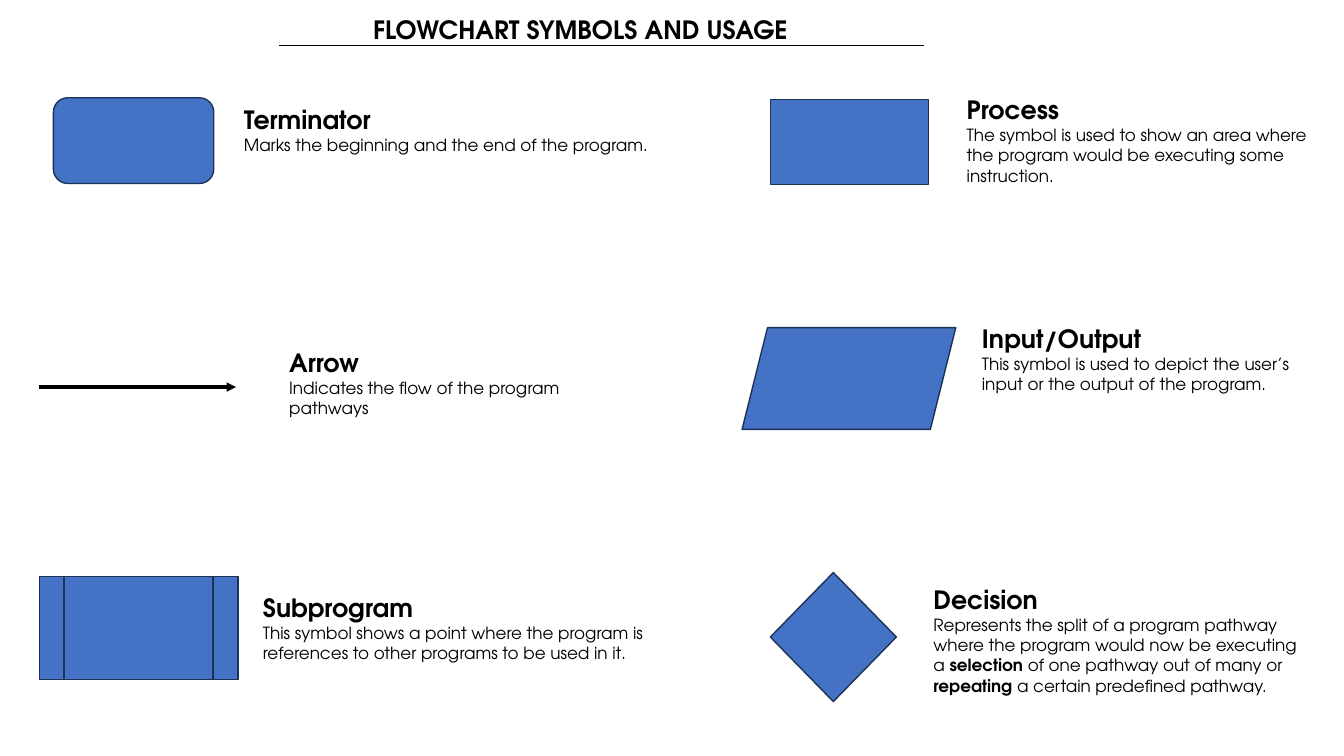
"""Build a slide of flowchart symbols and their usage."""
import dataclasses

import lxml.etree
import pptx
import pptx.dml.color
import pptx.enum.shapes
import pptx.enum.text
import pptx.oxml.ns
import pptx.util

SCALE = 9144
FONT = "TeX Gyre Adventor"
COLORS = {"fill": "4472C4", "edge": "1E3256", "ink": "000000", "page": "FFFFFF"}
KIND = pptx.enum.shapes.MSO_SHAPE
FIT = pptx.enum.text.MSO_AUTO_SIZE.SHAPE_TO_FIT_TEXT


@dataclasses.dataclass
class Box:
    x: int
    y: int
    w: int
    h: int


@dataclasses.dataclass
class Symbol:
    kind: KIND
    box: Box


@dataclasses.dataclass
class Rule:
    start: int
    end: int
    y: int
    weight: float
    arrow: bool = False


@dataclasses.dataclass
class Label:
    name: str
    usage: tuple[str, ...]
    box: Box


SYMBOLS = [
    Symbol(KIND.ROUNDED_RECTANGLE, Box(53, 97, 159, 85)),
    Symbol(KIND.RECTANGLE, Box(764, 99, 157, 84)),
    Symbol(KIND.DIAMOND, Box(764, 568, 125, 128)),
    Symbol(KIND.FLOWCHART_PREDEFINED_PROCESS, Box(39, 572, 197, 102)),
    Symbol(KIND.PARALLELOGRAM, Box(736, 325, 212, 101)),
]

RULES = [Rule(39, 234, 384, 2.25, True), Rule(277, 916, 45, 0.5)]

LABELS = [
    Label("Terminator", ("Marks the beginning and the end of the program.",),
          Box(232, 99, 435, 61)),
    Label("Process", ("The symbol is used to show an area where the program "
                      "would be executing some instruction.",),
          Box(949, 89, 363, 101)),
    Label("Arrow", ("Indicates the flow of the program pathways",),
          Box(277, 340, 356, 81)),
    Label("Input/Output", ("This symbol is used to depict the user’s input "
                           "or the output of the program.",),
          Box(964, 316, 348, 81)),
    Label("Subprogram", ("This symbol shows a point where the program is "
                         "references to other programs to be used in it.",),
          Box(251, 583, 435, 81)),
    Label("Decision", ("Represents the split of a program pathway where the "
                       "program would now be executing a ", "selection",
                       " of one pathway out of many or ", "repeating ",
                       "a certain predefined pathway."),
          Box(916, 575, 396, 151)),
]


def px(count: int) -> pptx.util.Emu:
    """Turn px into EMU."""
    return pptx.util.Emu(count * SCALE)


def rgb(name: str) -> pptx.dml.color.RGBColor:
    """Look up a colour by its name."""
    return pptx.dml.color.RGBColor.from_string(COLORS[name])


def style(run, size: int, bold: bool) -> None:
    """Set the font of one run."""
    run.font.name = FONT
    run.font.size = pptx.util.Pt(size)
    run.font.bold = bold
    run.font.color.rgb = rgb("ink")


def place(shape, box: Box) -> None:
    """Move and size a shape."""
    shape.left, shape.top = px(box.x), px(box.y)
    shape.width, shape.height = px(box.w), px(box.h)


def draw_title(slide, text: str, box: Box) -> None:
    """Fill and format the title placeholder."""
    title = slide.shapes.title
    place(title, box)
    frame = title.text_frame
    frame.text = text
    frame.word_wrap = True
    frame.auto_size = FIT
    frame.vertical_anchor = pptx.enum.text.MSO_ANCHOR.TOP
    frame.paragraphs[0].alignment = pptx.enum.text.PP_ALIGN.LEFT
    style(frame.paragraphs[0].runs[0], 18, True)


def draw_symbol(slide, item: Symbol) -> None:
    """Draw one flowchart symbol."""
    box = item.box
    shape = slide.shapes.add_shape(item.kind, px(box.x), px(box.y), px(box.w), px(box.h))
    shape.shadow.inherit = False
    shape.fill.solid()
    shape.fill.fore_color.rgb = rgb("fill")
    shape.line.color.rgb = rgb("edge")
    shape.line.width = pptx.util.Pt(1)


def draw_rule(slide, item: Rule) -> None:
    """Draw one level line, with an arrowhead if asked for."""
    line = slide.shapes.add_connector(
        pptx.enum.shapes.MSO_CONNECTOR.STRAIGHT,
        px(item.start), px(item.y), px(item.end), px(item.y))
    line.line.color.rgb = rgb("ink")
    line.line.width = pptx.util.Pt(item.weight)
    qn = pptx.oxml.ns.qn
    if item.arrow:
        edge = line.line._get_or_add_ln()
        lxml.etree.SubElement(edge, qn("a:tailEnd"), type="triangle")
    lxml.etree.SubElement(line._element.spPr, qn("a:effectLst"))


def draw_label(slide, item: Label) -> None:
    """Write a name and its usage, where every second piece is bold."""
    box = item.box
    shape = slide.shapes.add_textbox(px(box.x), px(box.y), px(box.w), px(box.h))
    frame = shape.text_frame
    frame.word_wrap = True
    frame.auto_size = FIT
    frame.text = item.name
    style(frame.paragraphs[0].runs[0], 18, True)
    usage = frame.add_paragraph()
    for index, piece in enumerate(item.usage):
        run = usage.add_run()
        run.text = piece
        style(run, 12, index % 2 == 1)


def main() -> None:
    """Build and save the slide."""
    deck = pptx.Presentation()
    deck.slide_width, deck.slide_height = px(1333), px(750)
    slide = deck.slides.add_slide(deck.slide_layouts[5])
    slide.background.fill.solid()
    slide.background.fill.fore_color.rgb = rgb("page")
    draw_title(slide, "FLOWCHART SYMBOLS AND USAGE", Box(360, 9, 492, 40))
    for item in SYMBOLS:
        draw_symbol(slide, item)
    for item in RULES:
        draw_rule(slide, item)
    for item in LABELS:
        draw_label(slide, item)
    deck.save("out.pptx")


if __name__ == "__main__":
    main()
